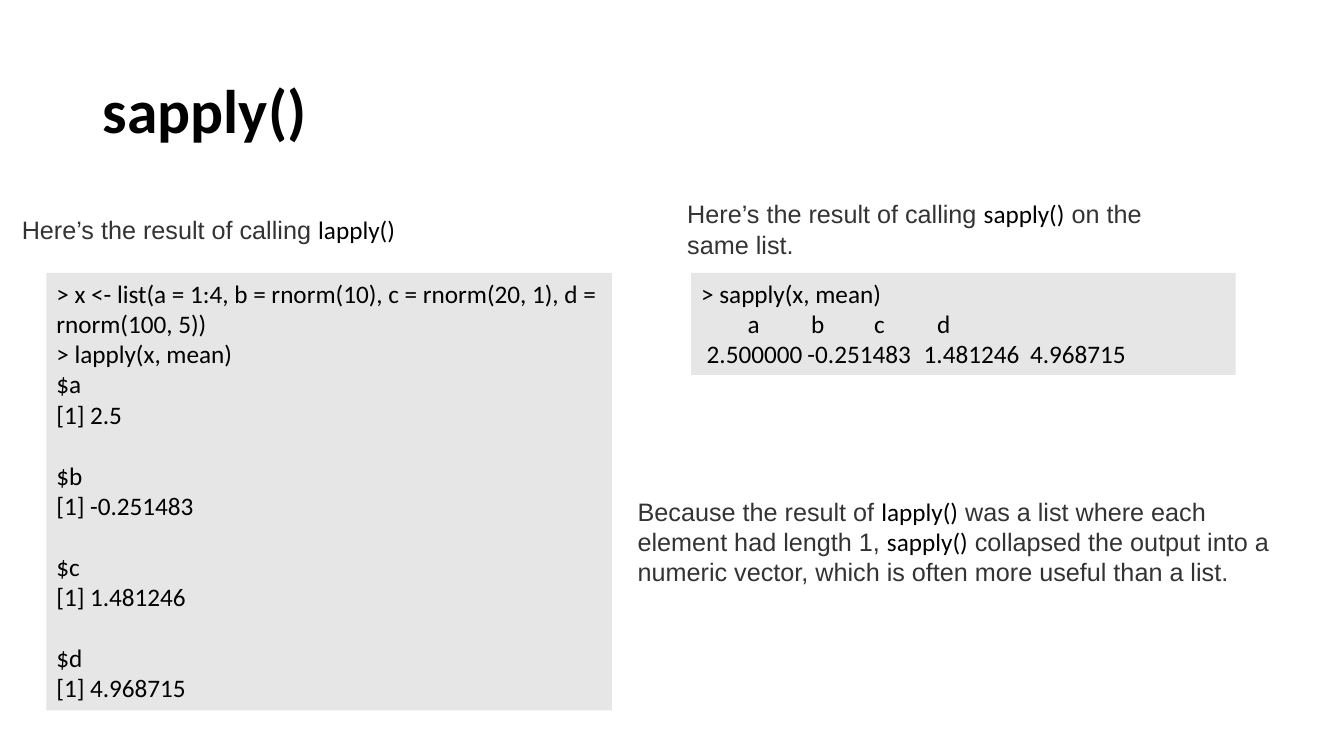
from dataclasses import dataclass

from lxml import etree
from pptx import Presentation
from pptx import util as u
from pptx.dml.color import RGBColor
from pptx.enum import shapes, text
from pptx.oxml import ns

BLACK = RGBColor(0x00, 0x00, 0x00)
GREY_TEXT = RGBColor(0x33, 0x33, 0x33)
CODE_FILL = RGBColor(0xE7, 0xE6, 0xE6)
PROSE_FONT = "Arial"
CODE_FONT = "Calibri"
TEXT_SIZE = u.Pt(18)
BLOCK_GAP = u.Pt(22)


@dataclass(frozen=True)
class Area:
    left: float
    top: float
    width: float
    height: float

    def lengths(self) -> tuple:
        return tuple(u.Cm(side) for side in (self.left, self.top, self.width, self.height))


@dataclass(frozen=True)
class Span:
    words: str
    is_code: bool = False


@dataclass(frozen=True)
class Note:
    area: Area
    spans: tuple[Span, ...]


@dataclass(frozen=True)
class CodeLine:
    words: str
    starts_block: bool = False
    tabs: tuple[float, ...] = ()


@dataclass(frozen=True)
class Listing:
    area: Area
    lines: tuple[CodeLine, ...]


LAPPLY = Span("lapply()", True)
SAPPLY = Span("sapply()", True)
MEANS = {"a": "2.5", "b": "-0.251483", "c": "1.481246", "d": "4.968715"}

NOTES = (
    Note(Area(0.3, 5.28, 10.03, 1.02),
         (Span("Here’s the result of calling "), LAPPLY)),
    Note(Area(17.07, 4.88, 12.93, 1.8),
         (Span("Here’s the result of calling "), SAPPLY, Span(" on the same list."))),
    Note(Area(15.82, 12.37, 16.94, 2.57),
         (Span("Because the result of "), LAPPLY,
          Span(" was a list where each element had length 1, "), SAPPLY,
          Span(" collapsed the output into a numeric vector, "
               "which is often more useful than a list."))),
)


def list_output() -> tuple[CodeLine, ...]:
    lines = [
        CodeLine("> x <- list(a = 1:4, b = rnorm(10), c = rnorm(20, 1), d = rnorm(100, 5))"),
        CodeLine("> lapply(x, mean)"),
    ]
    for name, mean in MEANS.items():
        lines.append(CodeLine(f"${name}", starts_block=name != "a"))
        lines.append(CodeLine(f"[1] {mean}"))
    return tuple(lines)


LISTINGS = (
    Listing(Area(1.17, 6.88, 14.25, 11.02), list_output()),
    Listing(Area(17.42, 6.88, 13.72, 2.57), (
        CodeLine("> sapply(x, mean)"),
        CodeLine("\ta\tb\tc\td", tabs=(1.17, 2.77, 4.36, 5.95)),
        CodeLine("\t2.500000\t-0.251483\t1.481246\t4.968715", tabs=(0.14, 2.68, 5.61, 8.29)),
    )),
)


def add_span(para, span: Span) -> None:
    run = para.add_run()
    run.text = span.words
    run.font.size = TEXT_SIZE
    run.font.name = CODE_FONT if span.is_code else PROSE_FONT
    run.font.color.rgb = BLACK if span.is_code else GREY_TEXT


def set_tabs(para, positions: tuple[float, ...]) -> None:
    tab_list = etree.SubElement(para._p.get_or_add_pPr(), ns.qn("a:tabLst"))
    for position in positions:
        etree.SubElement(tab_list, ns.qn("a:tab"), pos=str(u.Cm(position)), algn="l")


def draw_title(page) -> None:
    title = page.shapes.title
    title.left, title.top, title.width, title.height = Area(2.34, 1.02, 29.21, 3.68).lengths()
    frame = title.text_frame
    frame.auto_size = text.MSO_AUTO_SIZE.NONE
    frame.vertical_anchor = text.MSO_ANCHOR.MIDDLE
    para = frame.paragraphs[0]
    para.alignment = text.PP_ALIGN.LEFT
    para.line_spacing = 0.9
    run = para.add_run()
    run.text = "sapply()"
    run.font.name = CODE_FONT
    run.font.size = u.Pt(44)
    run.font.bold = True
    run.font.color.rgb = BLACK


def draw_note(page, note: Note) -> None:
    box = page.shapes.add_textbox(*note.area.lengths())
    box.text_frame.word_wrap = True
    for span in note.spans:
        add_span(box.text_frame.paragraphs[0], span)


def draw_listing(page, listing: Listing) -> None:
    box = page.shapes.add_shape(shapes.MSO_SHAPE.RECTANGLE, *listing.area.lengths())
    box.shadow.inherit = False
    box.fill.solid()
    box.fill.fore_color.rgb = CODE_FILL
    box.line.fill.background()
    frame = box.text_frame
    frame.word_wrap = True
    frame.vertical_anchor = text.MSO_ANCHOR.TOP
    for index, line in enumerate(listing.lines):
        para = frame.add_paragraph() if index else frame.paragraphs[0]
        para.alignment = text.PP_ALIGN.LEFT
        if line.starts_block:
            para.space_before = BLOCK_GAP
        if line.tabs:
            set_tabs(para, line.tabs)
        add_span(para, Span(line.words, True))


def main() -> None:
    deck = Presentation()
    deck.slide_width, deck.slide_height = u.Cm(33.87), u.Cm(19.05)
    page = deck.slides.add_slide(deck.slide_layouts.get_by_name("Title Only"))
    draw_title(page)
    for listing in LISTINGS:
        draw_listing(page, listing)
    for note in NOTES:
        draw_note(page, note)
    deck.save("out.pptx")


if __name__ == "__main__":
    main()
